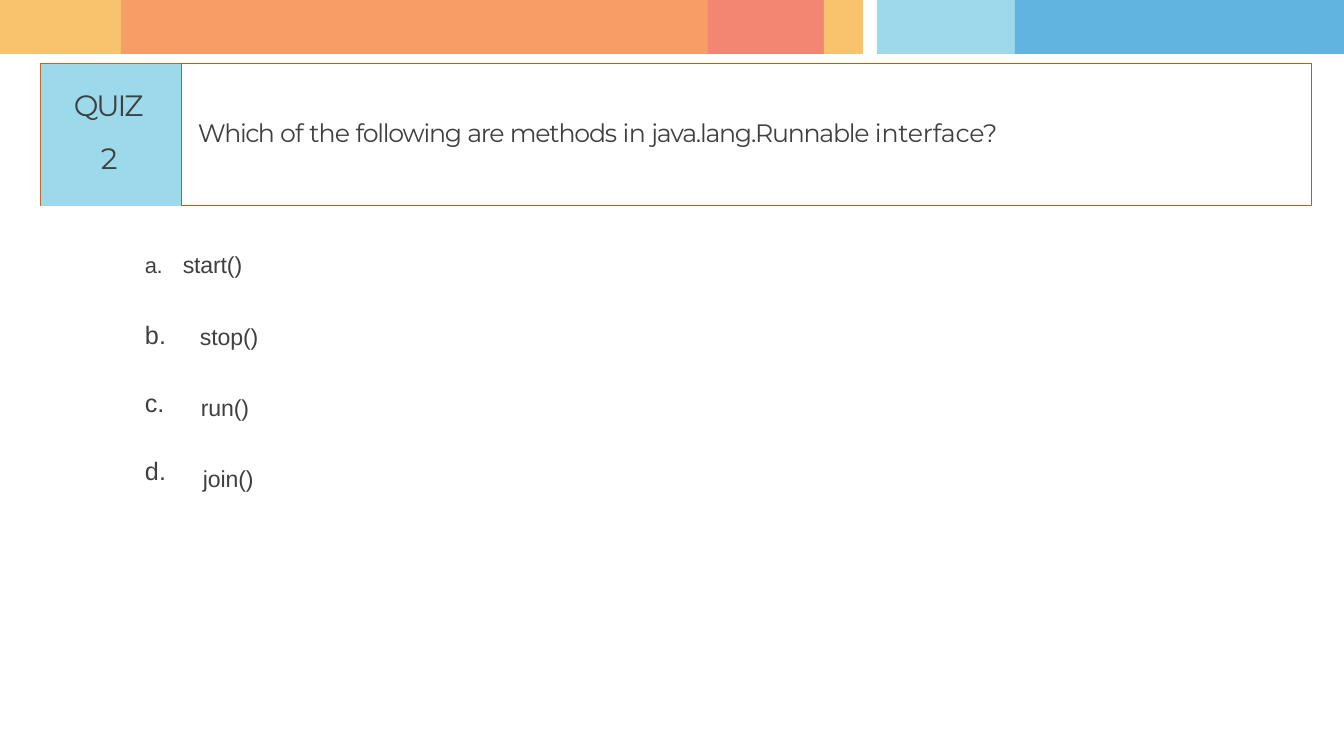
import pptx
import pptx.dml.color
import pptx.enum.shapes
import pptx.enum.text
import pptx.oxml.ns
import pptx.util
from lxml import etree

PX = 12095  # EMU in one px
RGB = pptx.dml.color.RGBColor
SHAPES = pptx.enum.shapes.MSO_SHAPE
AMBER = RGB(0xF9, 0xC3, 0x6E)
ORANGE = RGB(0xF6, 0x9E, 0x66)
CORAL = RGB(0xF3, 0x85, 0x73)
SKY = RGB(0x9C, 0xDA, 0xEB)
BLUE = RGB(0x60, 0xB4, 0xDF)
RUST = RGB(0xC5, 0x5A, 0x11)
INK = RGB(0x40, 0x40, 0x40)


def emu(*lengths):
    return [round(n * PX) for n in lengths]


def add_rect(s, box, fill=None):
    sp = s.shapes.add_shape(SHAPES.RECTANGLE, *emu(*box))
    sp.shadow.inherit = False
    sp.line.fill.background()
    if fill is None:
        sp.fill.background()
    else:
        sp.fill.solid()
        sp.fill.fore_color.rgb = fill
    return sp


def add_text_box(s, box):
    return s.shapes.add_textbox(*emu(*box))


def set_text(sp, runs, font, margins=(0, 1, 0, 0), left=1, indent=0, before=1):
    """Fill a shape with one paragraph of (text, size, spacing) runs."""
    tf = sp.text_frame
    tf.word_wrap = True
    tf.auto_size = pptx.enum.text.MSO_AUTO_SIZE.NONE
    tf.vertical_anchor = pptx.enum.text.MSO_ANCHOR.TOP
    tf.margin_left, tf.margin_top, tf.margin_right, tf.margin_bottom = emu(*margins)
    p = tf.paragraphs[0]
    p.alignment = pptx.enum.text.PP_ALIGN.LEFT
    pPr = p._p.get_or_add_pPr()
    for name, length in zip(("marL", "indent"), emu(left, indent)):
        pPr.set(name, str(length))
    if before:
        p.space_before = pptx.util.Pt(before)
    for text, size, spacing in runs:
        r = p.add_run()
        r.text = text
        r.font.name = font
        r.font.size = pptx.util.Pt(size)
        r.font.color.rgb = INK
        r._r.get_or_add_rPr().set("spc", str(round(spacing * 100)))
    return p


def add_top_bar(s, x, y, height):
    """Draw the colour bands; a None colour is a gap."""
    bands = [(121, AMBER), (587, ORANGE), (116, CORAL), (39, AMBER),
             (14, None), (138, SKY), (329, BLUE)]
    for width, color in bands:
        if color is not None:
            add_rect(s, (x, y, width, height), color)
        x += width


def add_question(s, x, y, width, height):
    label_width = 140
    split = x + label_width
    frame = add_rect(s, (x, y, width, height))
    frame.line.color.rgb = RUST
    frame.line.width = pptx.util.Pt(0.96)

    divider = s.shapes.add_connector(pptx.enum.shapes.MSO_CONNECTOR.STRAIGHT,
                                     *emu(split, y, split, y + height))
    divider.line.color.rgb = RUST
    divider.line.width = pptx.util.Pt(0.48)
    etree.SubElement(divider._element.spPr, pptx.oxml.ns.qn("a:effectLst"))

    runs = [("Which ", -1.4), ("of ", -0.8), ("the ", -0.9), ("following ", -1.2),
            ("are ", -1.3), ("methods ", -1.1), ("in", -0.6),
            (" java.lang.Runnable ", -1.2), ("interface?", -0.2)]
    question = add_text_box(s, (split, y + 52, width - label_width, 33))
    set_text(question, [(text, 24, spacing) for text, spacing in runs],
             "Montserrat", left=17)

    label = add_rect(s, (x, y, label_width, height), SKY)
    p = set_text(label, [("QUIZ ", 28, -2), ("2", 28, -0.5)], "Montserrat",
                 margins=(0, 5, 30, 0), left=60, indent=-27, before=4)
    p.line_spacing = 1.51


def add_first_option(s, x, y):
    """Letter and answer share one line, parted by a tab."""
    sp = add_text_box(s, (x, y, 120, 30))
    p = set_text(sp, [("a.\t", 36, -0.4), ("start()", 22, -0.1)], "Arial",
                 margins=(0, 0, 0, 0), before=0)
    tabs = etree.SubElement(p._p.get_or_add_pPr(), pptx.oxml.ns.qn("a:tabLst"))
    etree.SubElement(tabs, pptx.oxml.ns.qn("a:tab"), pos=str(56 * PX), algn="l")
    p.line_spacing = pptx.util.Pt(27.8)
    p.runs[0]._r.get_or_add_rPr().set("baseline", "1000")


def add_options(s, x, y):
    add_first_option(s, x, y)
    options = [("b.", 0.2, "stop()", 55), ("c.", -0.2, "run()", 56),
               ("d.", 0.2, "join()", 58)]
    for i, (letter, spacing, answer, offset) in enumerate(options):
        sp = add_text_box(s, (x, y + 66 + 68 * i, 30, 33))
        set_text(sp, [(letter, 24, spacing)], "Arial")
        sp = add_text_box(s, (x + offset, y + 69 + 71 * i, 70, 30))
        set_text(sp, [(answer, 22, -0.1)], "Arial", before=0.9)


def main():
    prs = pptx.Presentation()
    prs.slide_width, prs.slide_height = emu(1344, 756)
    s = prs.slides.add_slide(prs.slide_layouts[6])
    add_top_bar(s, 0, 0, 54)
    add_question(s, 41, 64, 1271, 142)
    add_options(s, 144, 252)
    prs.save("out.pptx")


if __name__ == "__main__":
    main()
